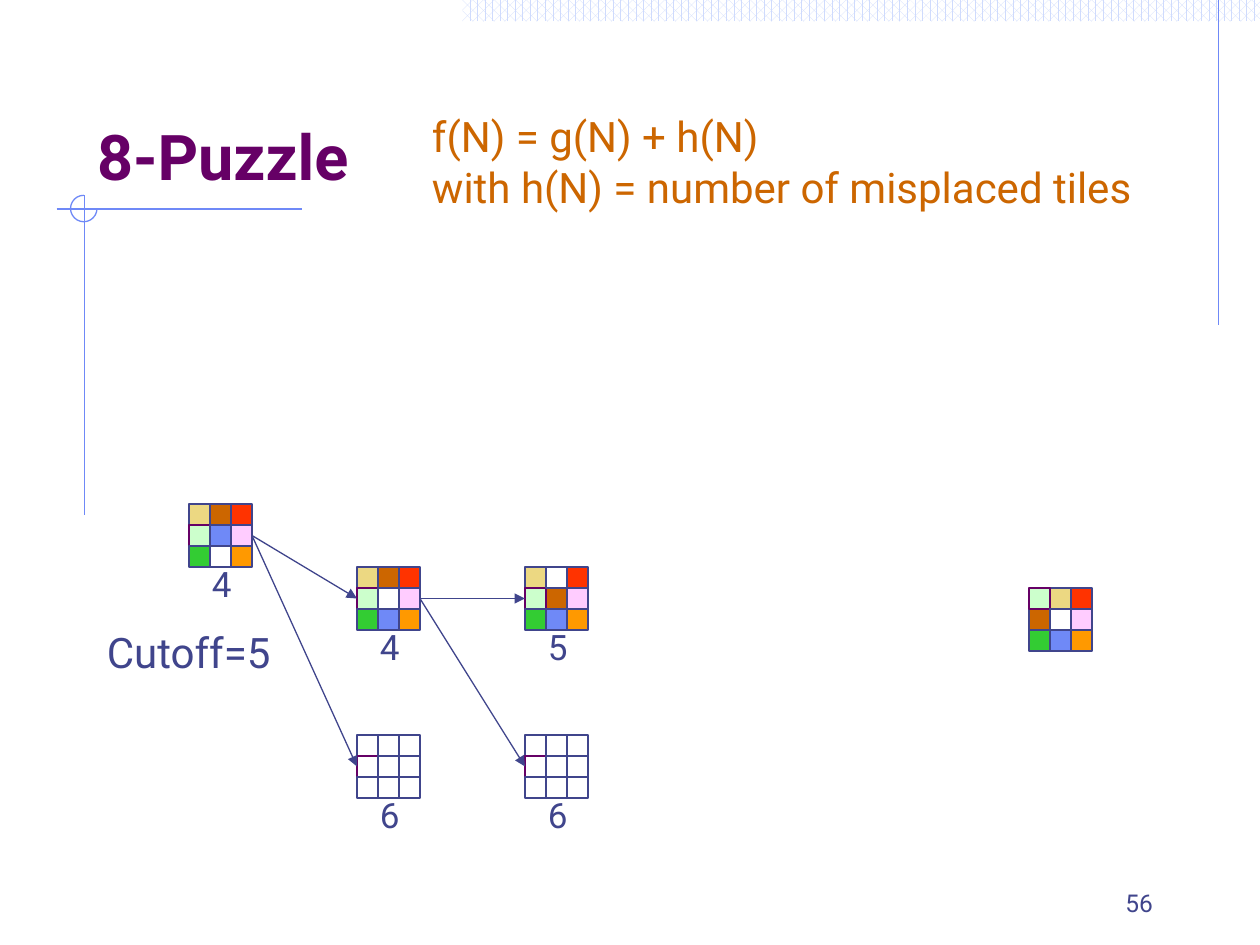
from pptx import Presentation
from pptx.dml.color import RGBColor
from pptx.enum.dml import MSO_PATTERN
from pptx.enum.shapes import MSO_CONNECTOR, MSO_SHAPE
from pptx.enum.text import MSO_ANCHOR, MSO_AUTO_SIZE, PP_ALIGN
from pptx.oxml.ns import qn
from pptx.util import Inches, Pt
from lxml.etree import SubElement

WHITE = RGBColor(0xFF, 0xFF, 0xFF)
INK = RGBColor(0x40, 0x45, 0x8C)
PURPLE = RGBColor(0x66, 0x00, 0x66)
ORANGE = RGBColor(0xCC, 0x66, 0x00)
BLUE = RGBColor(0x6F, 0x89, 0xF7)
PALE_BLUE = RGBColor(0xCF, 0xDB, 0xFD)

TILES = {
    "S": RGBColor(0xEC, 0xD8, 0x82),
    "B": ORANGE,
    "M": RGBColor(0xCC, 0xFF, 0xCC),
    "U": BLUE,
    "P": RGBColor(0xFF, 0xCC, 0xFF),
    "G": RGBColor(0x33, 0xCC, 0x33),
    "_": WHITE,
    "A": RGBColor(0xFF, 0x99, 0x00),
    "R": RGBColor(0xFF, 0x33, 0x00),
}
STACKING = "".join(TILES)
UNKNOWN = "_" * 9
CELL = 1 / 6
LEFT_MIDDLE, RIGHT_MIDDLE = 3, 5

BOARDS = {
    "start": (1.5, 4, "SBRMUPG_A", "4"),
    "goal": (8 + CELL, 4 + 4 * CELL, "MSRB_PGUA", None),
    "centre": (3 - CELL, 4.5, "SBRM_PGUA", "4"),
    "first cut": (3 - CELL, 6 - CELL, UNKNOWN, "6"),
    "second cut": (4 + CELL, 6 - CELL, UNKNOWN, "6"),
    "up": (4 + CELL, 4.5, "S_RMBPGUA", "5"),
}
MOVES = [
    ("start", "centre"),
    ("start", "first cut"),
    ("centre", "second cut"),
    ("centre", "up"),
]


class PuzzleSlide:
    font = "Roboto"
    line_width = Pt(0.75)

    def __init__(self, presentation):
        self.slide = presentation.slides.add_slide(presentation.slide_layouts[5])
        self.shapes = self.slide.shapes

    def add_lines(self, frame, lines, size, color, bold=False, align=PP_ALIGN.LEFT):
        for index, line in enumerate(lines):
            paragraph = frame.add_paragraph() if index else frame.paragraphs[0]
            paragraph.alignment = align
            run = paragraph.add_run()
            run.text = line
            run.font.name = self.font
            run.font.size = Pt(size)
            run.font.bold = bold
            run.font.color.rgb = color

    def title(self, text, left, top, width, height):
        shape = self.shapes.title
        shape.left, shape.top = Inches(left), Inches(top)
        shape.width, shape.height = Inches(width), Inches(height)
        shape.text_frame.auto_size = MSO_AUTO_SIZE.NONE
        shape.text_frame.vertical_anchor = MSO_ANCHOR.BOTTOM
        self.add_lines(shape.text_frame, [text], 36, PURPLE, bold=True)

    def text(self, lines, left, top, width, height, size, color=INK,
             align=PP_ALIGN.LEFT, anchor=MSO_ANCHOR.TOP):
        box = self.shapes.add_textbox(
            Inches(left), Inches(top), Inches(width), Inches(height))
        box.text_frame.word_wrap = False
        box.text_frame.vertical_anchor = anchor
        self.add_lines(box.text_frame, lines, size, color, align=align)
        return box

    def shape(self, kind, left, top, width, height, line=None):
        shape = self.shapes.add_shape(
            kind, Inches(left), Inches(top), Inches(width), Inches(height))
        shape.shadow.inherit = False
        if line is None:
            shape.line.fill.background()
        else:
            shape.line.color.rgb = line
            shape.line.width = self.line_width
        return shape

    def band(self, left, top, width, height):
        fill = self.shape(MSO_SHAPE.RECTANGLE, left, top, width, height).fill
        fill.patterned()
        fill.pattern = MSO_PATTERN.PERCENT_60
        fill.fore_color.rgb = PALE_BLUE
        fill.back_color.rgb = WHITE

    def arc(self, left, top, size):
        arc = self.shape(MSO_SHAPE.ARC, left, top, size, size, BLUE)
        arc.fill.background()
        arc.adjustments[0] = 0
        arc.adjustments[1] = 162

    def line(self, x1, y1, x2, y2, color=BLUE):
        connector = self.shapes.add_connector(
            MSO_CONNECTOR.STRAIGHT, Inches(x1), Inches(y1), Inches(x2), Inches(y2))
        connector.line.color.rgb = color
        connector.line.width = self.line_width
        SubElement(connector.element.spPr, qn("a:effectLst"))
        return connector

    def arrow(self, start, end):
        connector = self.line(0, 0, 1, 1, INK)
        connector.begin_connect(start, 3)
        connector.end_connect(end, 1)
        SubElement(connector.get_or_add_ln(), qn("a:tailEnd"), type="triangle")

    def board(self, left, top, tiles, value):
        if value:
            label = self.text([value], left + CELL / 2, top + 2.5 * CELL, 0.35, 0.43, 20)
            if tiles == UNKNOWN:
                label.fill.solid()
                label.fill.fore_color.rgb = WHITE
        outlined = LEFT_MIDDLE if tiles == UNKNOWN else tiles.index("M")
        cells = {}
        for index in sorted(range(9), key=lambda place: STACKING.index(tiles[place])):
            row, column = divmod(index, 3)
            cell = self.shape(
                MSO_SHAPE.RECTANGLE, left + column * CELL, top + row * CELL,
                CELL, CELL, PURPLE if index == outlined else INK)
            cell.fill.solid()
            cell.fill.fore_color.rgb = TILES[tiles[index]]
            cells[index] = cell
        return cells


def main():
    presentation = Presentation()
    presentation.slide_width = Inches(10)
    presentation.slide_height = Inches(7.5)
    puzzle = PuzzleSlide(presentation)

    puzzle.band(3.67, 0, 6.33, 0.17)
    puzzle.line(9.67, 0, 9.67, 2.58)
    puzzle.line(0.45, 1.66, 2.4, 1.66)
    puzzle.line(0.67, 1.55, 0.67, 4.09)
    puzzle.arc(0.56, 1.55, 0.21)

    puzzle.title("8-Puzzle", 0.67, 0.33, 8.5, 1.25)
    puzzle.text(["f(N) = g(N) + h(N)", "with h(N) = number of misplaced tiles"],
                3.33, 0.83, 5.82, 0.9, 24, ORANGE)
    puzzle.text(["Cutoff=5"], 0.75, 4.92, 1.52, 0.5, 24)
    puzzle.text(["56"], 7.17, 6.83, 2.08, 0.5, 14,
                align=PP_ALIGN.RIGHT, anchor=MSO_ANCHOR.BOTTOM)

    boards = {name: puzzle.board(*board) for name, board in BOARDS.items()}
    for parent, child in MOVES:
        puzzle.arrow(boards[parent][RIGHT_MIDDLE], boards[child][LEFT_MIDDLE])

    presentation.save("out.pptx")


if __name__ == "__main__":
    main()
